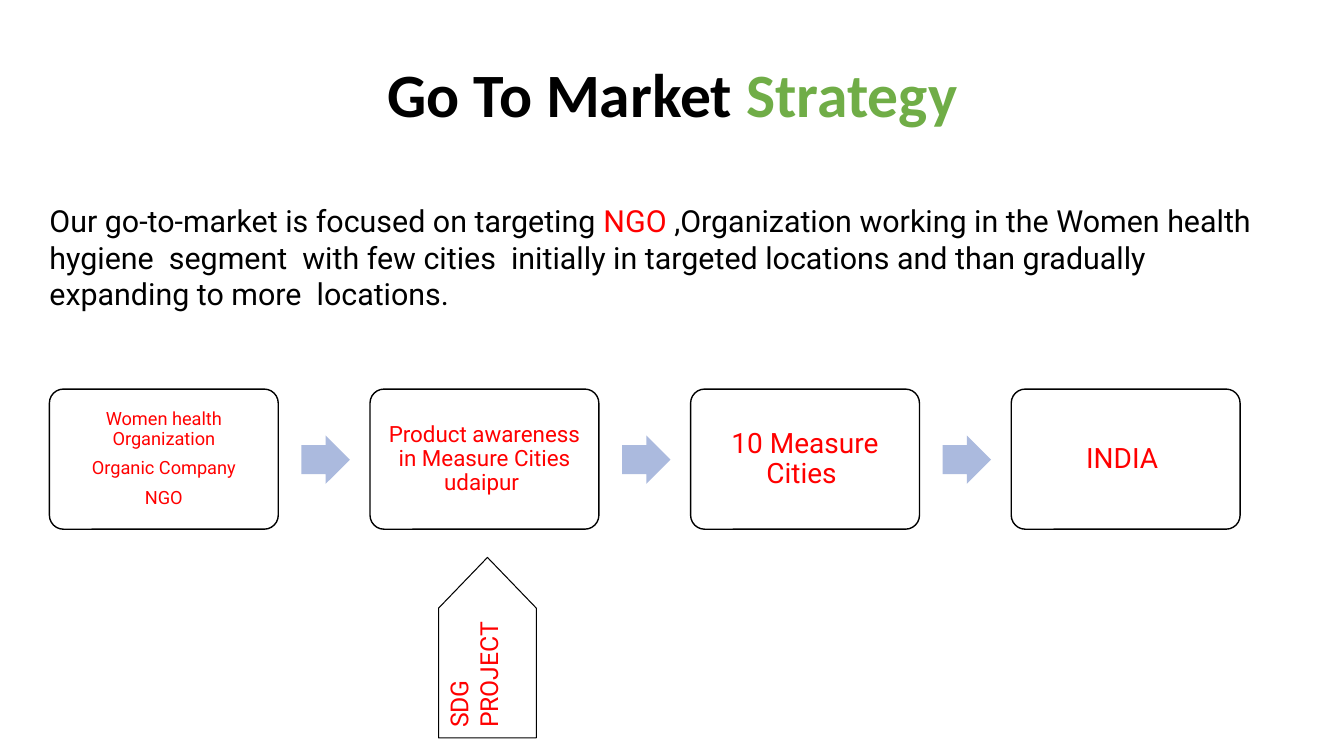
from lxml.etree import SubElement
from pptx import Presentation
from pptx.dml.color import RGBColor
from pptx.enum.shapes import MSO_SHAPE as Shape
from pptx.enum.text import MSO_ANCHOR as Anchor, MSO_AUTO_SIZE as AutoSize, PP_ALIGN as Align
from pptx.oxml.ns import qn
from pptx.util import Inches, Pt

BLACK, RED, GREEN, WHITE, ARROW_BLUE = "000000", "FF0000", "70AD47", "FFFFFF", "ABBADE"
STEPS = [
    (["Women health Organization", "Organic Company", "NGO"], 13),
    (["Product awareness in Measure Cities udaipur "], 16),
    (["10 Measure Cities "], 20),
    (["INDIA "], 20),
]
STEP_LEFT, STEP_PITCH = 0.49, 3.18


def color(value):
    return RGBColor.from_string(value)


def place(shape, left, top, width, height):
    shape.left, shape.top = Inches(left), Inches(top)
    shape.width, shape.height = Inches(width), Inches(height)


def set_insets(frame, across, down):
    frame.margin_left = frame.margin_right = Inches(across)
    frame.margin_top = frame.margin_bottom = Inches(down)
    frame.word_wrap = True
    frame.auto_size = AutoSize.NONE


def style_span(span, font, size, tint, bold=False):
    span.font.name = font
    span.font.size = Pt(size)
    span.font.bold = bold
    span.font.color.rgb = color(tint)


def add_spans(para, spans, font, size, bold=False):
    for text, tint in spans:
        span = para.add_run()
        span.text = text
        style_span(span, font, size, tint, bold)


def add_box(slide, kind, bounds, adjustments, fill, line_width=None):
    box = slide.shapes.add_shape(kind, *map(Inches, bounds))
    box.shadow.inherit = False
    for index, value in enumerate(adjustments):
        box.adjustments[index] = value
    box.fill.solid()
    box.fill.fore_color.rgb = color(fill)
    if line_width:
        box.line.color.rgb = color(BLACK)
        box.line.width = Pt(line_width)
    else:
        box.line.fill.background()
    return box


def add_title(slide):
    title = slide.shapes.title
    place(title, 0.67, 0.3, 12, 1.25)
    set_insets(title.text_frame, 0.1, 0.05)
    title.text_frame.vertical_anchor = Anchor.MIDDLE
    para = title.text_frame.paragraphs[0]
    para.alignment = Align.CENTER
    add_spans(para, [("Go To Market ", BLACK), ("Strategy", GREEN)], "Calibri", 44, True)


def add_summary(slide):
    body = slide.placeholders[1]
    place(body, 0.49, 2.01, 12.19, 1.39)
    set_insets(body.text_frame, 0, 0)
    para = body.text_frame.paragraphs[0]
    para.space_before, para.space_after = Pt(0), Pt(16)
    properties = para._p.get_or_add_pPr()
    properties.set("marL", "0")
    properties.set("indent", "0")
    SubElement(properties, qn("a:buNone"))
    add_spans(para, [
        ("Our go-to-market is focused on targeting ", BLACK),
        ("NGO", RED),
        (" ,Organization working in the Women health hygiene  segment  with few cities  "
         "initially in targeted locations and than gradually expanding to more  locations.", BLACK),
    ], "Roboto", 21.7)


def add_step(slide, left, lines, size):
    box = add_box(slide, Shape.ROUNDED_RECTANGLE, (left, 3.86, 2.27, 1.39), [0.1], WHITE, 1)
    frame = box.text_frame
    set_insets(frame, 0.08, 0.08)
    frame.vertical_anchor = Anchor.MIDDLE
    frame.text = "\n".join(lines)
    for index, para in enumerate(frame.paragraphs):
        para.alignment = Align.CENTER
        para.line_spacing = 0.9
        para.space_before = Pt(7 if index else 0)
        style_span(para.runs[0], "Roboto", size, RED)


def add_project_pointer(slide):
    pointer = add_box(slide, Shape.PENTAGON, (3.94, 5.94, 1.79, 0.97), [0.519], WHITE, 0.75)
    pointer.rotation = 270
    frame = pointer.text_frame
    set_insets(frame, 0.1, 0.05)
    frame.vertical_anchor = Anchor.TOP
    frame.text = "SDG PROJECT"
    para = frame.paragraphs[0]
    para.alignment = Align.LEFT
    style_span(para.runs[0], "Roboto", 17.7, RED)


def main():
    deck = Presentation()
    deck.slide_width, deck.slide_height = Inches(13.33), Inches(7.5)
    slide = deck.slides.add_slide(deck.slide_layouts[1])
    add_title(slide)
    add_summary(slide)
    for index, (lines, size) in enumerate(STEPS):
        left = STEP_LEFT + index * STEP_PITCH
        add_step(slide, left, lines, size)
        if index < len(STEPS) - 1:
            add_box(slide, Shape.RIGHT_ARROW, (left + 2.5, 4.32, 0.48, 0.48), [0.6, 0.5], ARROW_BLUE)
    add_project_pointer(slide)
    deck.save("out.pptx")


if __name__ == "__main__":
    main()
